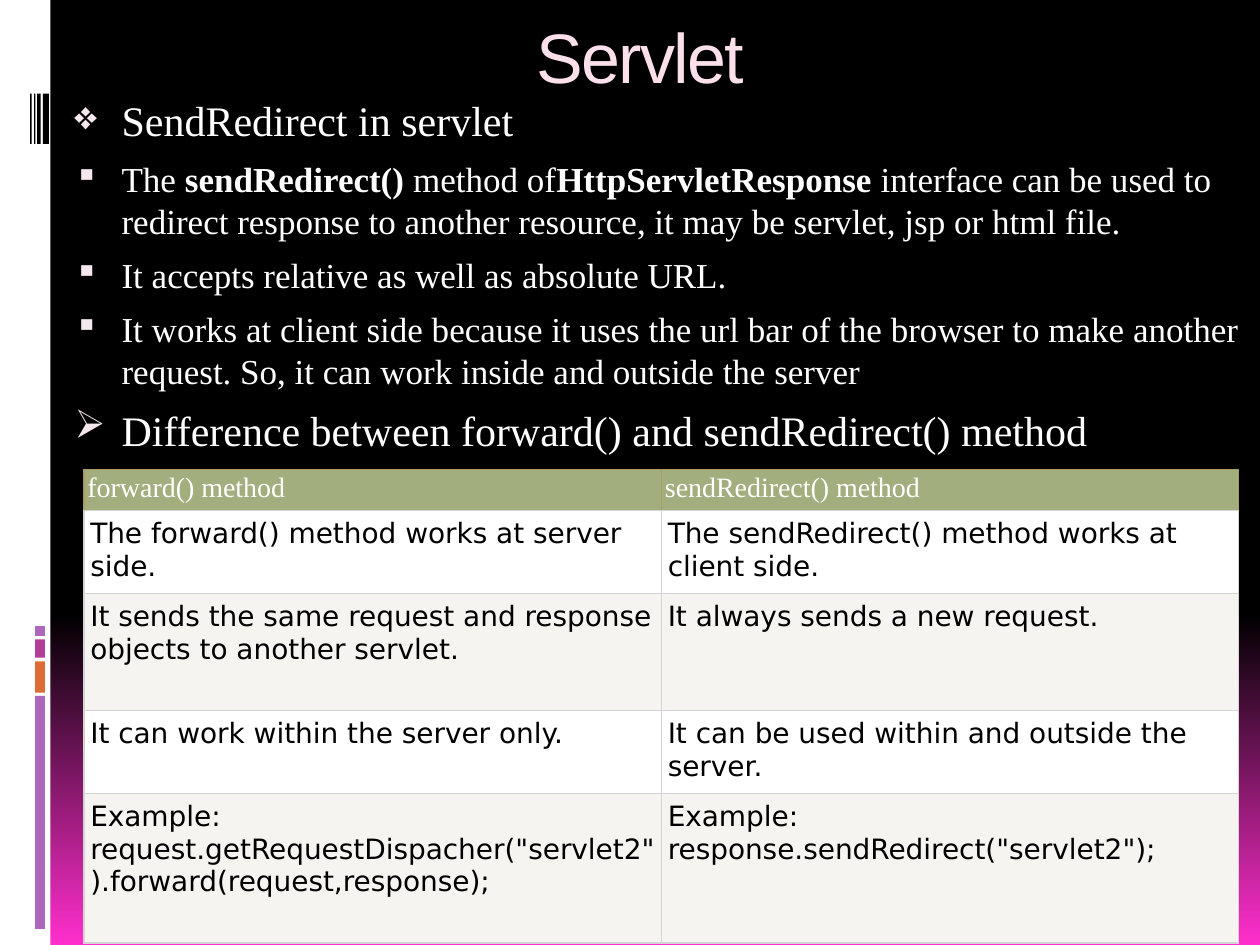
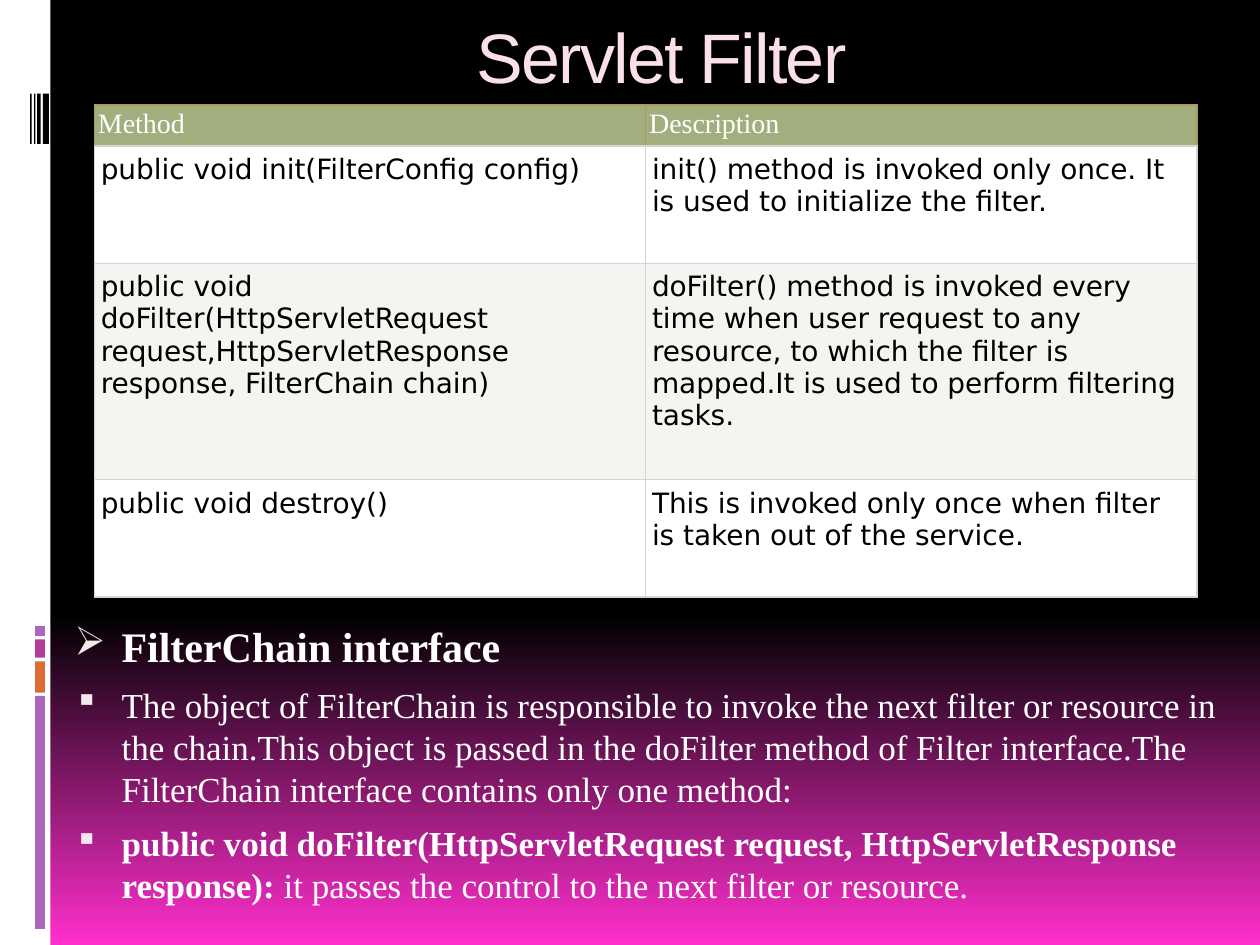
import pptx
import pptx.util
import pptx.dml.color
import pptx.enum.shapes
import pptx.enum.text
import pptx.oxml
import pptx.oxml.ns

Pt = pptx.util.Pt
WIDTH, HEIGHT = 720, 540
BLACK, WHITE, PINK = "000000", "FFFFFF", "FF2FCD"
PURPLE, MAGENTA, ORANGE = "AC66BB", "B13F9A", "DE6C36"
BULLET, GRID, HEADER_EDGE = "F4E7ED", "D4D4D4", "AB9A61"
SIDEBAR = 28.8
TITLE_FONT = {"name": "Arial", "size": Pt(40), "color": "FBE0EC"}
HEADING_FONT = {"name": "Times New Roman", "size": Pt(24), "color": WHITE}
POINT_FONT = {**HEADING_FONT, "size": Pt(20)}
HEADER = {
    "font": {**HEADING_FONT, "size": Pt(16)},
    "margins": {"margin_left": Pt(2), "margin_right": Pt(2),
                "margin_top": Pt(2), "margin_bottom": Pt(2)},
    "edges": {"L": HEADER_EDGE, "R": HEADER_EDGE, "T": HEADER_EDGE, "B": GRID},
}
BODY = {
    "font": {"name": "DejaVu Sans", "size": Pt(16), "color": BLACK},
    "margins": {"margin_left": Pt(3.6), "margin_right": Pt(3.6),
                "margin_top": Pt(4.3), "margin_bottom": Pt(4.3)},
    "edges": dict.fromkeys("LRTB", GRID),
}
HEADER_FILL, ROW_FILLS = "A3AE7E", (WHITE, "F6F4F0")


def rgb(code):
    """Turn a hex string into a colour."""
    return pptx.dml.color.RGBColor.from_string(code)


def apply(target, values):
    """Set every attribute named in a dict of format values."""
    for name, value in values.items():
        if name == "color":
            target.color.rgb = rgb(value)
        else:
            setattr(target, name, value)


def add_xml(parent, markup):
    """Append a DrawingML element to its parent."""
    namespace = pptx.oxml.ns.nsdecls("a")
    parent.append(pptx.oxml.parse_xml(markup.replace("/>", f" {namespace}/>", 1)
                  if markup.endswith("/>") and markup.count("<") == 1
                  else markup.replace(">", f" {namespace}>", 1)))


def add_run(paragraph, text, font):
    """Add a run in the given font."""
    run = paragraph.add_run()
    run.text = text
    apply(run.font, font)
    return run


def add_frame(slide, box):
    """Add a wrapping text frame without insets."""
    frame = slide.shapes.add_textbox(*map(Pt, box)).text_frame
    apply(frame, {"word_wrap": True, "margin_left": 0, "margin_right": 0,
                  "margin_top": 0, "margin_bottom": 0})
    return frame


def draw_backdrop(slide):
    """Fill the background with black fading to pink at the foot."""
    fill = slide.background.fill
    fill.gradient()
    fill.gradient_angle = 270
    for stop, position, color in zip(fill.gradient_stops, (0.65, 1), (BLACK, PINK)):
        apply(stop, {"position": position, "color": color})


def draw_sidebar(slide, box):
    """Draw the white band with its coloured blocks and black stripes."""
    left, top, width, height = box
    blocks = [(397.6, 133.2, PURPLE), (378, 17.8, ORANGE),
              (365.4, 10.4, MAGENTA), (357.8, 5.6, PURPLE)]
    stripes = [(24.5, 3.5), (21.2, 2), (19.5, 0.8), (17.3, 0.8)]
    parts = [(0, 0, width, height, WHITE)]
    parts += [(20.1, y, 5.6, tall, color) for y, tall, color in blocks]
    parts += [(x, 53.5, wide, 28.8, BLACK) for x, wide in stripes]
    for x, y, wide, tall, color in parts:
        band = slide.shapes.add_shape(
            pptx.enum.shapes.MSO_SHAPE.RECTANGLE,
            Pt(left + x), Pt(top + y), Pt(wide), Pt(tall))
        band.shadow.inherit = False
        band.fill.solid()
        band.fill.fore_color.rgb = rgb(color)
        band.line.fill.background()


def draw_title(slide, box, title):
    """Write the centred slide title."""
    paragraph = add_frame(slide, box).paragraphs[0]
    paragraph.alignment = pptx.enum.text.PP_ALIGN.CENTER
    run = add_run(paragraph, title, TITLE_FONT)
    run.font._element.set("spc", "-100")


def draw_points(slide, box, points):
    """Write bulleted paragraphs; every second piece of a point is bold."""
    frame = add_frame(slide, box)
    for index, (mark, pieces) in enumerate(points):
        paragraph = frame.add_paragraph() if index else frame.paragraphs[0]
        paragraph.space_before = Pt(7 if index else 0)
        properties = paragraph._p.get_or_add_pPr()
        properties.set("marL", str(Pt(27)))
        properties.set("indent", str(-Pt(27)))
        add_xml(properties, f'<a:buClr><a:srgbClr val="{BULLET}"/></a:buClr>')
        add_xml(properties, '<a:buSzPct val="95000"/>')
        add_xml(properties, f'<a:buChar char="{mark}"/>')
        font = POINT_FONT if mark == "▪" else HEADING_FONT
        for place, piece in enumerate(pieces):
            if piece:
                add_run(paragraph, piece, {**font, "bold": place % 2 == 1})


def style_cell(cell, text, style, fill):
    """Write one table cell with its fill, insets and borders."""
    apply(cell, style["margins"])
    add_run(cell.text_frame.paragraphs[0], text, style["font"])
    properties = cell._tc.get_or_add_tcPr()
    for side, color in style["edges"].items():
        add_xml(properties, f'<a:ln{side} w="{Pt(0.75)}"><a:solidFill>'
                f'<a:srgbClr val="{color}"/></a:solidFill></a:ln{side}>')
    cell.fill.solid()
    cell.fill.fore_color.rgb = rgb(fill)


def draw_comparison(slide, box, heights, rows):
    """Draw a table of equal columns with a green header row."""
    columns = len(rows[0])
    table = slide.shapes.add_table(len(rows), columns, *map(Pt, box)).table
    for column in table.columns:
        column.width = Pt(box[2] / columns)
    for index, (height, texts) in enumerate(zip(heights, rows)):
        table.rows[index].height = Pt(height)
        style = BODY if index else HEADER
        fill = ROW_FILLS[(index - 1) % 2] if index else HEADER_FILL
        for cell, text in zip(table.rows[index].cells, texts):
            style_cell(cell, text, style, fill)


def start_slide(deck, title, title_left):
    """Add a blank slide with the shared backdrop, sidebar and title."""
    slide = deck.slides.add_slide(deck.slide_layouts[6])
    draw_backdrop(slide)
    draw_sidebar(slide, (0, 0, SIDEBAR, HEIGHT))
    draw_title(slide, (title_left, 8, 612, 46), title)
    return slide


def build_redirect(deck):
    """Build the slide on sendRedirect and forward."""
    slide = start_slide(deck, "Servlet", 60)
    draw_points(slide, (42.5, 54, 670, 206), [
        ("❖", ["SendRedirect in servlet"]),
        ("▪", ["The ", "sendRedirect()", " method of", "HttpServletResponse",
               " interface can be used to redirect response to another resource, "
               "it may be servlet, jsp or html file."]),
        ("▪", ["It accepts relative as well as absolute URL."]),
        ("▪", ["It works at client side because it uses the url bar of the browser "
               "to make another request. So, it can work inside and outside the server"]),
        ("➢", ["Difference between forward() and sendRedirect() method"]),
    ])
    draw_comparison(slide, (48, 268.3, 660, 270.6), (23.4, 47.4, 67, 47.4, 85.4), [
        ("forward() method", "sendRedirect() method"),
        ("The forward() method works at server side.",
         "The sendRedirect() method works at client side."),
        ("It sends the same request and response objects to another servlet.",
         "It always sends a new request."),
        ("It can work within the server only.",
         "It can be used within and outside the server."),
        ('Example: request.getRequestDispacher("servlet2").forward(request,response);',
         'Example: response.sendRedirect("servlet2");'),
    ])


def build_filter(deck):
    """Build the slide on the servlet filter methods."""
    slide = start_slide(deck, "Servlet Filter", 72)
    draw_comparison(slide, (54, 60, 630, 281), (23.4, 67, 123.8, 67), [
        ("Method", "Description"),
        ("public void init(FilterConfig config)",
         "init() method is invoked only once. It is used to initialize the filter."),
        ("public void doFilter(HttpServletRequest request,HttpServletResponse response, "
         "FilterChain chain)",
         "doFilter() method is invoked every time when user request to any resource, "
         "to which the filter is mapped.It is used to perform filtering tasks."),
        ("public void destroy()",
         "This is invoked only once when filter is taken out of the service."),
    ])
    draw_points(slide, (42.5, 354.5, 670, 165), [
        ("➢", ["", "FilterChain interface"]),
        ("▪", ["The object of FilterChain is responsible to invoke the next filter or "
               "resource in the chain.This object is passed in the doFilter method of "
               "Filter interface.The FilterChain interface contains only one method:"]),
        ("▪", ["", "public void doFilter(HttpServletRequest request, "
               "HttpServletResponse response):",
               " it passes the control to the next filter or resource."]),
    ])


def main():
    """Build and save the presentation."""
    deck = pptx.Presentation()
    apply(deck, {"slide_width": Pt(WIDTH), "slide_height": Pt(HEIGHT)})
    build_redirect(deck)
    build_filter(deck)
    deck.save("out.pptx")


if __name__ == "__main__":
    main()
